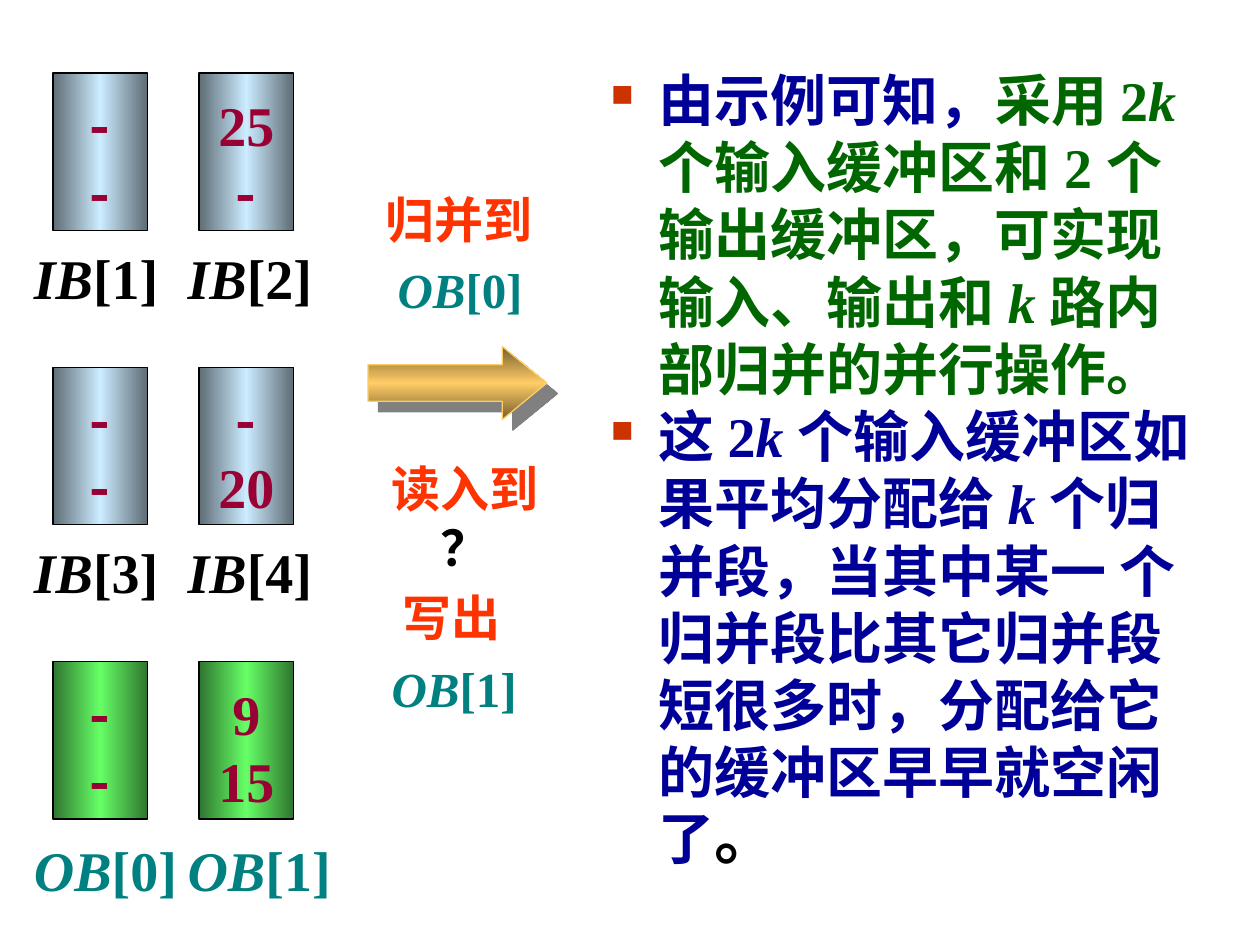
from copy import deepcopy
from pptx import Presentation
from pptx.dml.color import RGBColor
from pptx.enum.shapes import MSO_SHAPE
from pptx.enum.text import MSO_ANCHOR, PP_ALIGN
from pptx.oxml.ns import qn
from pptx.util import Inches, Pt
from lxml.etree import SubElement

SERIF = "Times New Roman"
SANS = "Noto Sans CJK SC"
BLUE, GREEN, TEAL = "000099", "006600", "008080"
RED, WINE, BLACK = "FF3300", "990033", "000000"
STEEL = ("5E6C75", "CCECFF")
LIME = ("2F752F", "66FF66")
GOLD = ("755E2F", "FFCC66")


def paint(color):
    return RGBColor.from_string(color)


def node(parent, tag, **attrs):
    item = SubElement(parent, qn(tag))
    for key, value in attrs.items():
        item.set(key, str(value))
    return item


def add_run(para, text, color, size=32, slant=False, font=SERIF):
    run = para.add_run()
    run.text = text
    face = run.font
    face.name, face.size, face.bold, face.italic = font, Pt(size), True, slant
    face.color.rgb = paint(color)
    node(run._r.get_or_add_rPr(), "a:ea", typeface=SANS)


def set_frame(frame, top=0.1, side=0.1, right=0):
    frame.word_wrap = True
    frame.margin_left, frame.margin_right = Inches(side), Inches(right)
    frame.margin_top, frame.margin_bottom = Inches(top), Inches(0.05)
    return frame


def add_text(slide, left, top, width, height, inset=0.1, right=0):
    box = slide.shapes.add_textbox(Inches(left), Inches(top), Inches(width), Inches(height))
    return set_frame(box.text_frame, inset, right=right)


def add_para(frame, first, pitch):
    para = frame.paragraphs[0] if first else frame.add_paragraph()
    para.line_spacing = Pt(pitch)
    return para


def add_block(slide, kind, left, top, width, height, tones, angle, edge):
    block = slide.shapes.add_shape(kind, Inches(left), Inches(top), Inches(width), Inches(height))
    block.shadow.inherit = False
    block.fill.gradient()
    stops = block._element.spPr.find(".//" + qn("a:gsLst"))
    stops.append(deepcopy(stops[0]))
    dark, light = tones
    for stop, color, place in zip(block.fill.gradient_stops, (dark, light, dark), (0, 0.5, 1)):
        stop.color.rgb = paint(color)
        stop.position = place
    block.fill.gradient_angle = angle
    block.line.color.rgb = paint(edge)
    block.line.width = Pt(0.74)
    return block


def add_pair(slide, left, top, cells, names, tones, color, drop):
    for col, values in enumerate(cells):
        block = add_block(slide, MSO_SHAPE.RECTANGLE, left + col * 1.16, top,
                          0.75, 1.25, tones, 0, BLACK)
        frame = set_frame(block.text_frame, 0.15, 0)
        frame.vertical_anchor = MSO_ANCHOR.MIDDLE
        for row, value in enumerate(values):
            para = add_para(frame, row == 0, 38.4)
            para.alignment = PP_ALIGN.CENTER
            add_run(para, value, WINE, font=SANS if value == "-" else SERIF)
    label = add_text(slide, left - 0.25, top + drop, 2.58, 0.64)
    para = add_para(label, True, 38.4)
    tabs = node(para._p.get_or_add_pPr(), "a:tabLst")
    node(tabs, "a:tab", pos=Inches(1.22), algn="l")
    for col, (name, index) in enumerate(names):
        add_run(para, name, color, slant=True)
        add_run(para, index + ("\t" if col == 0 else ""), color)


def add_arrow(slide, left, top):
    arrow = add_block(slide, MSO_SHAPE.RIGHT_ARROW, left, top, 1.42, 0.58, GOLD, 90, GOLD[1])
    arrow.adjustments[1] = 0.61
    glow = arrow._element.spPr.find(qn("a:effectLst"))
    shade = node(glow, "a:outerShdw", dist=Pt(8.5), dir=2700000, algn="ctr", rotWithShape=0)
    node(shade, "a:srgbClr", val="808080")


def add_steps(slide, left, top, height, steps):
    frame = add_text(slide, left, top, 1.4, height, 0.08)
    for row, (pitch, indent, runs) in enumerate(steps):
        para = add_para(frame, row == 0, pitch)
        if indent:
            para._p.get_or_add_pPr().set("marL", str(Inches(indent)))
        for text, color, slant in runs:
            add_run(para, text, color, 28, slant)


def add_notes(slide, left, top, points):
    frame = add_text(slide, left, top, 4.92, 6.58, right=0.1)
    for row, runs in enumerate(points):
        para = add_para(frame, row == 0, 38.4)
        props = para._p.get_or_add_pPr()
        props.set("marL", str(Inches(0.38)))
        props.set("indent", str(-Inches(0.38)))
        node(node(props, "a:buClr"), "a:srgbClr", val="CC3300")
        node(props, "a:buSzPct", val=55000)
        node(props, "a:buChar", char="■")
        for text, color, size in runs:
            add_run(para, text, color, size, text == "k ")


deck = Presentation()
deck.slide_width, deck.slide_height = Inches(10), Inches(7.5)
slide = deck.slides.add_slide(deck.slide_layouts[6])

PAIRS = [
    ("--", ("25", "-"), "IB", "[1]", "[2]", STEEL, BLACK, 1.25),
    ("--", ("-", "20"), "IB", "[3]", "[4]", STEEL, BLACK, 1.25),
    ("--", ("9", "15"), "OB", "[0]", "[1]", LIME, TEAL, 1.28),
]
for row, (one, two, name, low, high, tones, color, drop) in enumerate(PAIRS):
    add_pair(slide, 0.42, 0.58 + row * 2.335, (one, two),
             ((name, low), (name, high)), tones, color, drop)

add_steps(slide, 2.96, 1.33, 1.22, [
    (40.3, 0, [("归并到", RED, False)]),
    (40.3, 0, [(" ", RED, False), ("OB", TEAL, True), ("[0]", TEAL, False)]),
])
add_arrow(slide, 2.92, 2.75)
add_steps(slide, 3.01, 3.56, 2.16, [
    (33.6, 0, [("读入到", RED, False)]),
    (33.6, 0.39, [("？", BLACK, False)]),
    (40.3, 0, [(" 写出", RED, False)]),
    (40.3, 0, [("OB", TEAL, True), ("[1]", TEAL, False)]),
])
add_notes(slide, 4.75, 0.42, [
    [("由示例可知，", BLUE, 32), ("采用 2", GREEN, 32), ("k ", GREEN, 32),
     ("个输入缓冲区和 2 个输出缓冲区，可实现输入、输出和 ", GREEN, 32),
     ("k ", GREEN, 32), ("路内部归并的并行操作。", GREEN, 32)],
    [("这 2", BLUE, 32), ("k ", BLUE, 32), ("个输入缓冲区如果平均分配给 ", BLUE, 32),
     ("k ", BLUE, 32),
     ("个归并段，当其中某一 个归并段比其它归并段短很多时，分配给它的缓冲区早早就空闲了", BLUE, 32),
     ("。", BLACK, 36)],
])
deck.save("out.pptx")
